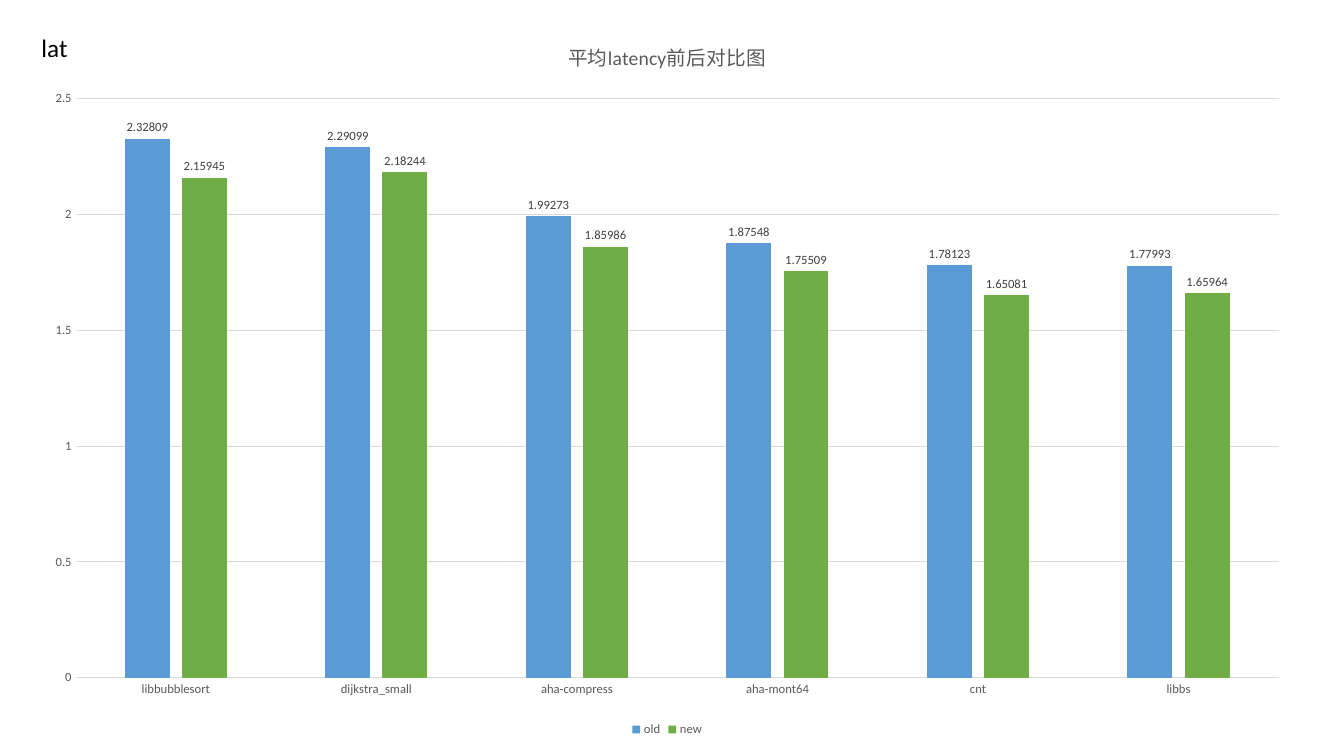
from dataclasses import dataclass

from pptx import Presentation
from pptx.chart.data import CategoryChartData
from pptx.dml.color import RGBColor
from pptx.enum.chart import XL_CHART_TYPE as ChartType
from pptx.enum.chart import XL_LABEL_POSITION as LabelPos
from pptx.enum.chart import XL_LEGEND_POSITION as LegendPos
from pptx.enum.chart import XL_TICK_MARK as Tick
from pptx.enum.text import MSO_ANCHOR, MSO_AUTO_SIZE, PP_ALIGN
from pptx.util import Cm, Pt

FONT = "Calibri"
GREY = "595959"
RULE = "D9D9D9"


@dataclass
class LatencySeries:
    name: str
    color: str
    values: tuple[float, ...]


BENCHMARKS = ("libbubblesort", "dijkstra_small", "aha-compress",
              "aha-mont64", "cnt", "libbs")
SERIES = (
    LatencySeries("old", "5B9BD5",
                  (2.32809, 2.29099, 1.99273, 1.87548, 1.78123, 1.77993)),
    LatencySeries("new", "70AD47",
                  (2.15945, 2.18244, 1.85986, 1.75509, 1.65081, 1.65964)),
)


def rgb(value: str) -> RGBColor:
    return RGBColor.from_string(value)


def apply(obj, values: dict) -> None:
    for name, value in values.items():
        setattr(obj, name, value)


def style_font(font, size: float, color: str) -> None:
    apply(font, {"name": FONT, "size": Pt(size), "bold": False})
    font.color.rgb = rgb(color)


def style_rule(line) -> None:
    line.color.rgb = rgb(RULE)
    line.width = Pt(0.75)


def add_heading(slide, text: str) -> None:
    sp = slide.shapes.title
    apply(sp, {"left": Cm(0.79), "top": Cm(0.69),
               "width": Cm(1.32), "height": Cm(1.02)})
    tf = sp.text_frame
    apply(tf, {"word_wrap": False, "auto_size": MSO_AUTO_SIZE.SHAPE_TO_FIT_TEXT,
               "vertical_anchor": MSO_ANCHOR.TOP})
    p = tf.paragraphs[0]
    apply(p, {"alignment": PP_ALIGN.LEFT, "line_spacing": 1.0})
    r = p.add_run()
    r.text = text
    style_font(r.font, 18, "000000")


def style_axes(chart) -> None:
    cat, val = chart.category_axis, chart.value_axis
    for axis in (cat, val):
        apply(axis, {"major_tick_mark": Tick.NONE, "minor_tick_mark": Tick.NONE})
        style_font(axis.tick_labels.font, 9, GREY)
    style_rule(cat.format.line)
    apply(val, {"minimum_scale": 0, "maximum_scale": 2.5, "major_unit": 0.5,
                "has_major_gridlines": True})
    val.format.line.fill.background()
    style_rule(val.major_gridlines.format.line)


def style_series(plot) -> None:
    apply(plot, {"gap_width": 219, "overlap": -27, "vary_by_categories": False})
    for item, series in zip(SERIES, plot.series):
        series.format.fill.solid()
        series.format.fill.fore_color.rgb = rgb(item.color)
        series.invert_if_negative = False
        labels = series.data_labels
        apply(labels, {"show_value": True, "position": LabelPos.OUTSIDE_END})
        style_font(labels.font, 9, "404040")


def add_latency_chart(slide, title: str) -> None:
    data = CategoryChartData()
    data.categories = BENCHMARKS
    for item in SERIES:
        data.add_series(item.name, item.values)
    chart = slide.shapes.add_chart(ChartType.COLUMN_CLUSTERED, Cm(0.76), Cm(0.43),
                                   Cm(32.11), Cm(18.24), data).chart
    style_font(chart.font, 10, "000000")
    apply(chart, {"has_title": True, "has_legend": True})
    chart.chart_title.include_in_layout = False
    r = chart.chart_title.text_frame.paragraphs[0].add_run()
    r.text = title
    style_font(r.font, 14, GREY)
    apply(chart.legend, {"position": LegendPos.BOTTOM, "include_in_layout": False})
    style_font(chart.legend.font, 9, GREY)
    style_axes(chart)
    style_series(chart.plots[0])


def main() -> None:
    prs = Presentation()
    apply(prs, {"slide_width": Cm(33.87), "slide_height": Cm(19.05)})
    slide = prs.slides.add_slide(prs.slide_layouts[5])
    add_latency_chart(slide, "平均latency前后对比图")
    add_heading(slide, "lat")
    prs.save("out.pptx")


if __name__ == "__main__":
    main()
